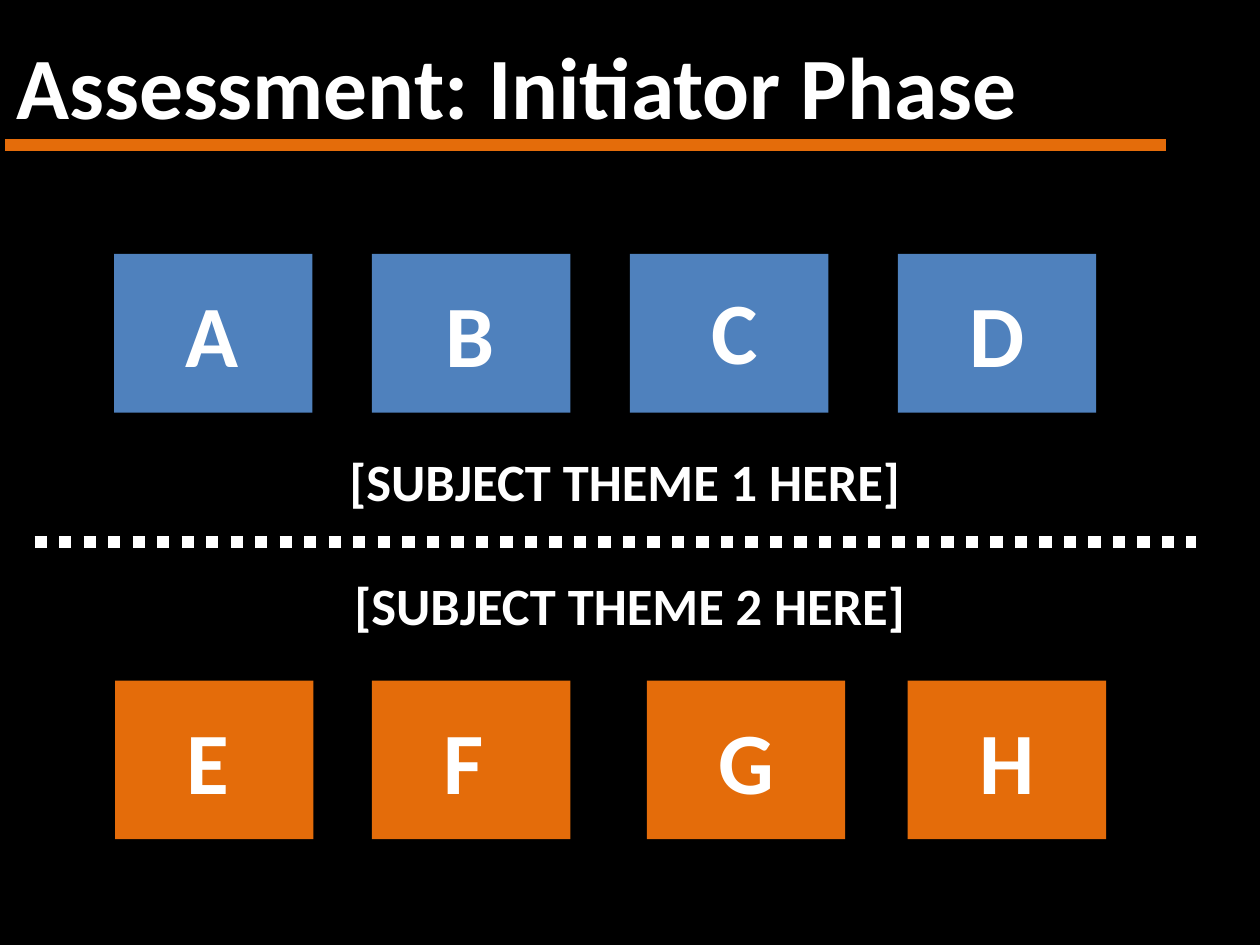
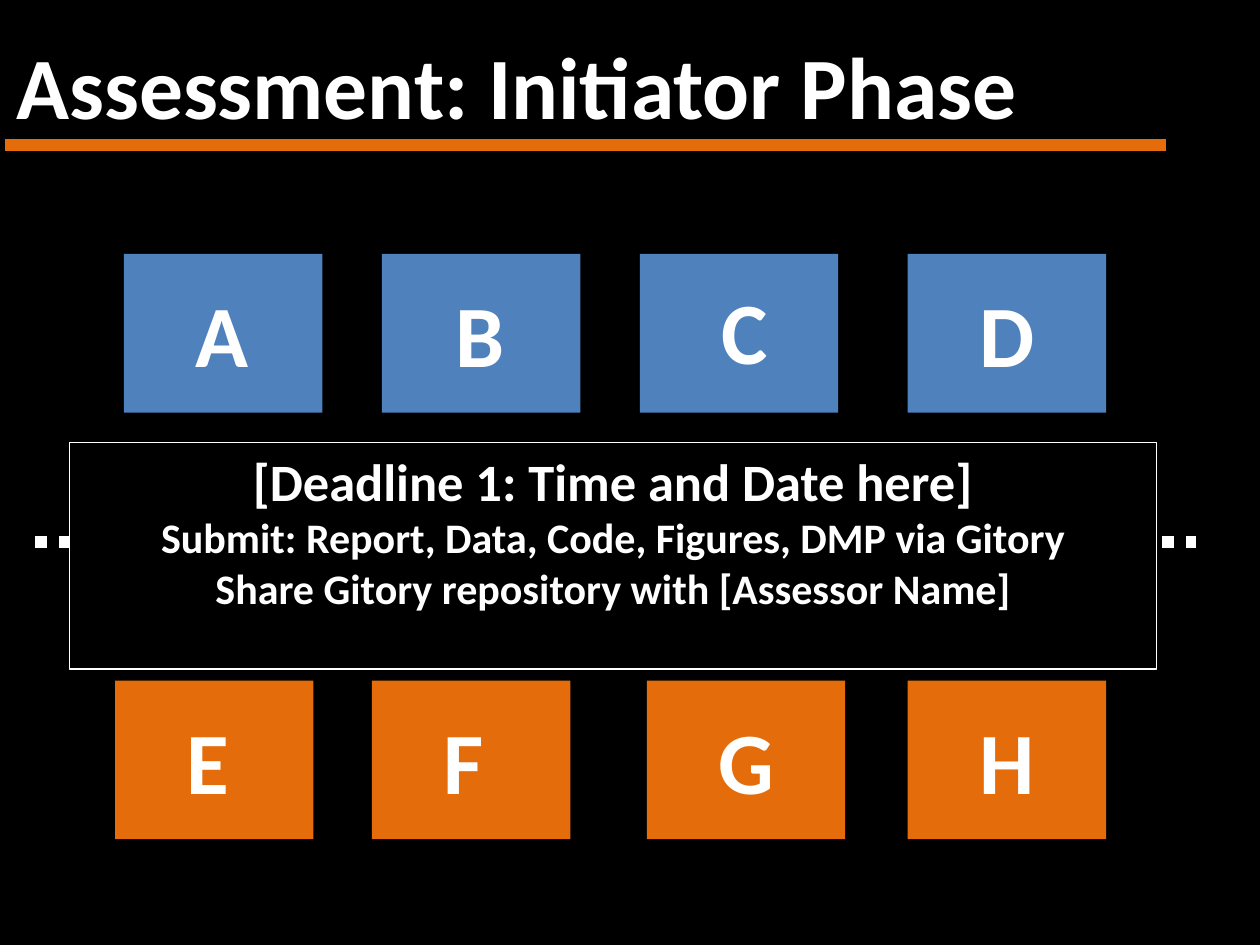
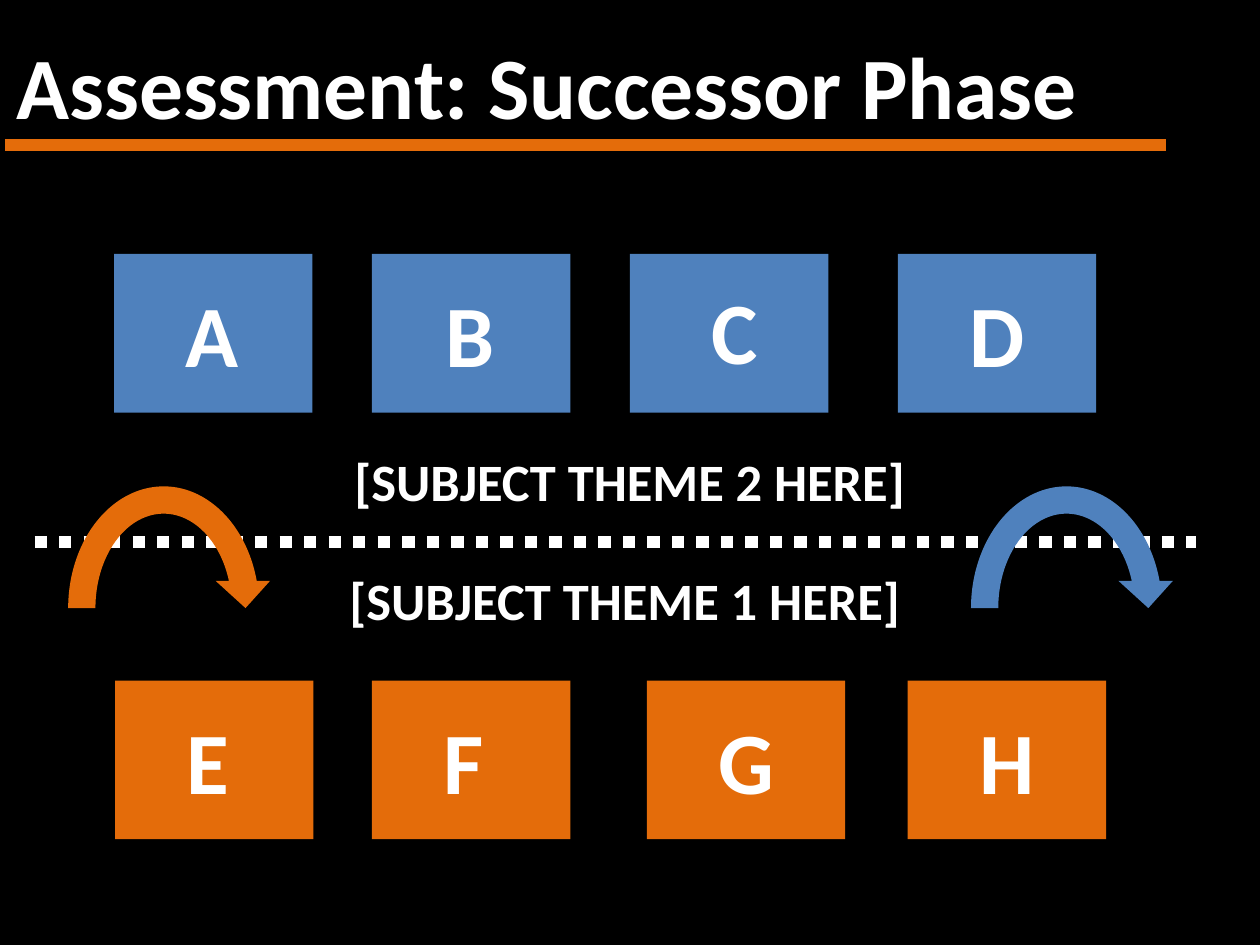
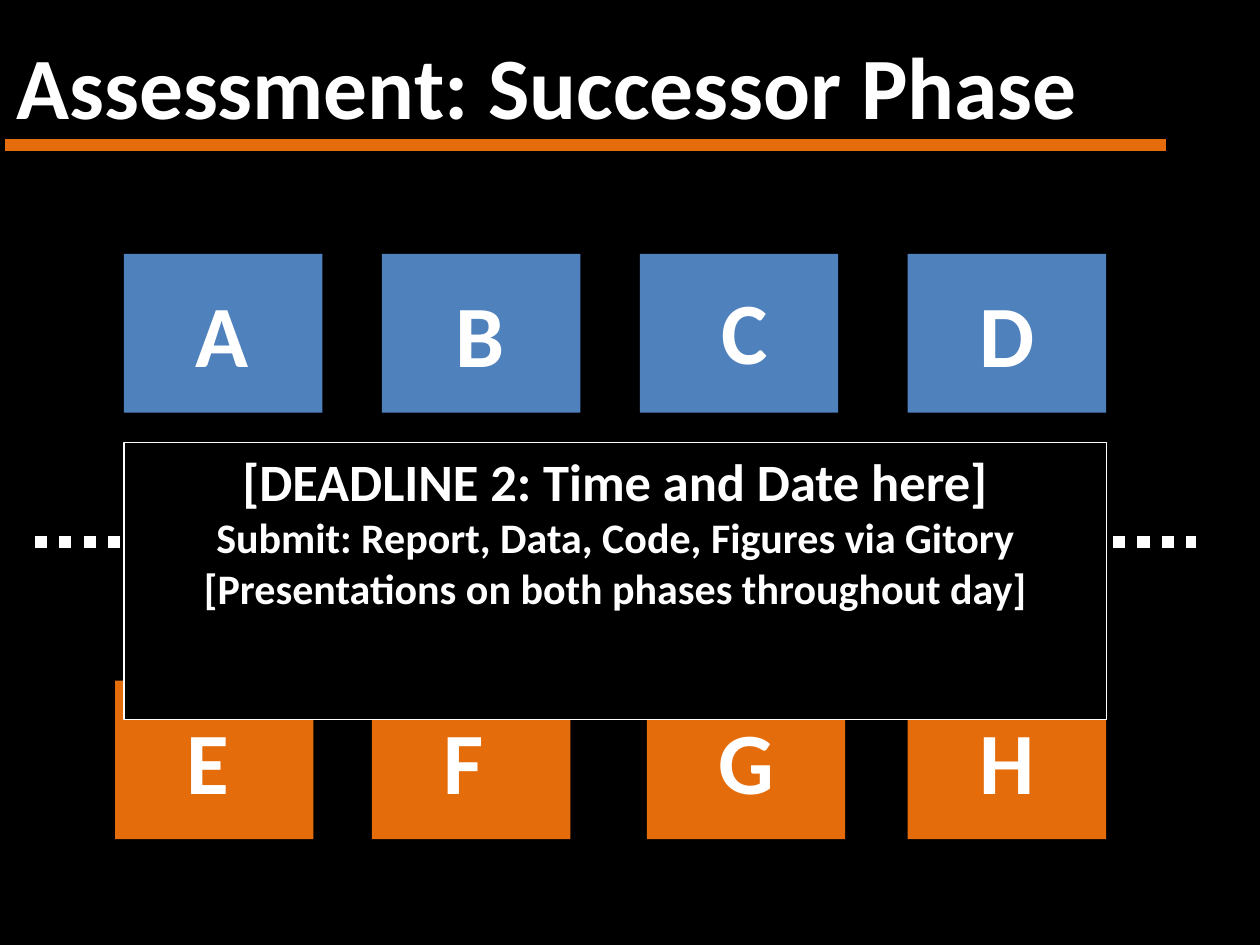
from pptx import Presentation
from pptx.dml.color import RGBColor
from pptx.enum.dml import MSO_LINE
from pptx.enum.shapes import MSO_CONNECTOR, MSO_SHAPE
from pptx.enum.text import MSO_ANCHOR, PP_ALIGN
from pptx.oxml.ns import qn
from pptx.util import Cm, Pt

FONT = "Calibri"
COLORS = {"black": "000000", "white": "FFFFFF", "blue": "4F81BD", "orange": "E46C0A"}

# Letter: (tile left, label offset across, label offset down), in cm
BLUE_ROW = {"A": (2.3, 1.2, 0.4), "B": (7.5, 1.24, 0.4),
            "C": (12.7, 1.4, 0.33), "D": (18.1, 1.2, 0.4)}
ORANGE_ROW = {"E": (2.32, 1.2, 0.4), "F": (7.5, 1.2, 0.4),
              "G": (13.04, 1.2, 0.4), "H": (18.3, 1.2, 0.4)}
BLUE_TOP, ORANGE_TOP = 5.12, 13.72
TILE_W, TILE_H = 4.0, 3.2
DEADLINE_SHIFT = 0.2
MIDDLE_TOP = 8.92

# Themes: (text, left, top, width); arrows: (colour, left)
PHASES = [
    {
        "title": "Assessment: Initiator Phase",
        "themes": [("[SUBJECT THEME 1 HERE]", 4.3, MIDDLE_TOP, 16.6),
                   ("[SUBJECT THEME 2 HERE]", 5.1, 11.43, 15.2)],
        "arrows": [],
        "deadline": ["[Deadline 1: Time and Date here]",
                     "Submit: Report, Data, Code, Figures, DMP via Gitory",
                     "Share Gitory repository with [Assessor Name]"],
        "deadline_box": (1.4, MIDDLE_TOP, 21.92, 4.57),
    },
    {
        "title": "Assessment: Successor Phase",
        "themes": [("[SUBJECT THEME 1 HERE]", 5.9, 11.33, 13.4),
                   ("[SUBJECT THEME 2 HERE]", 5.1, MIDDLE_TOP, 15.2)],
        "arrows": [("orange", 1.1), ("blue", 19.3)],
        "deadline": ["[DEADLINE 2: Time and Date here]",
                     "Submit: Report, Data, Code, Figures via Gitory",
                     "[Presentations on both phases throughout day]"],
        "deadline_box": (2.5, MIDDLE_TOP, 19.81, 5.59),
    },
]


def rgb(color):
    return RGBColor.from_string(COLORS[color])


def write(shape, lines, sizes, align=PP_ALIGN.LEFT):
    frame = shape.text_frame
    frame.word_wrap = True
    frame.vertical_anchor = MSO_ANCHOR.TOP
    frame.text = "\n".join(lines)
    for paragraph, size in zip(frame.paragraphs, sizes):
        paragraph.alignment = align
        for run in paragraph.runs:
            run.font.name, run.font.size, run.font.bold = FONT, Pt(size), True
            run.font.color.rgb = rgb("white")


def add_text(shapes, text, box, size, align=PP_ALIGN.LEFT):
    write(shapes.add_textbox(*map(Cm, box)), [text], [size], align)


def add_filled(shapes, preset, box, color):
    shape = shapes.add_shape(preset, *map(Cm, box))
    shape.shadow.inherit = False
    shape.fill.solid()
    shape.fill.fore_color.rgb = rgb(color)
    shape.line.fill.background()
    return shape


def add_rule(slide, left, right, y, color, dash=None):
    rule = slide.shapes.add_connector(MSO_CONNECTOR.STRAIGHT, Cm(left), Cm(y), Cm(right), Cm(y))
    rule.line.color.rgb = rgb(color)
    rule.line.width = Pt(7)
    rule.line.dash_style = dash
    properties = rule._element.spPr
    properties.append(properties.makeelement(qn("a:effectLst"), {}))


def add_tiles(slide, row, top, color, shift=0):
    tiles = slide.shapes.add_group_shape().shapes
    for letter, (left, across, down) in row.items():
        left += shift
        add_filled(tiles, MSO_SHAPE.RECTANGLE, (left, top, TILE_W, TILE_H), color)
        add_text(tiles, letter, (left + across, top + down, 1.6, 2.4), 50)


def add_phase_slide(prs, title, blue_shift=0):
    """Add a slide with the title, the dotted divider and both rows of tiles."""
    slide = prs.slides.add_slide(prs.slide_layouts[6])
    slide.background.fill.solid()
    slide.background.fill.fore_color.rgb = rgb("black")
    add_rule(slide, 0.1, 23.5, 2.92, "orange")
    add_text(slide.shapes, title, (0.08, 0.53, 24.6, 4.5), 50)
    add_tiles(slide, BLUE_ROW, BLUE_TOP, "blue", blue_shift)
    add_tiles(slide, ORANGE_ROW, ORANGE_TOP, "orange")
    add_rule(slide, 0.7, 24.1, 10.92, "white", MSO_LINE.ROUND_DOT)
    return slide


def add_theme_slide(prs, phase):
    slide = add_phase_slide(prs, phase["title"])
    for text, left, top, width in phase["themes"]:
        add_text(slide.shapes, text, (left, top, width, 1.54), 30, PP_ALIGN.CENTER)
    for color, left in phase["arrows"]:
        add_filled(slide.shapes, MSO_SHAPE.CIRCULAR_ARROW, (left, 9.53, 4.4, 5.46), color)


def add_deadline_slide(prs, phase):
    slide = add_phase_slide(prs, phase["title"], DEADLINE_SHIFT)
    panel = add_filled(slide.shapes, MSO_SHAPE.RECTANGLE, phase["deadline_box"], "black")
    panel.line.color.rgb = rgb("white")
    panel.line.width = Pt(0.75)
    write(panel, phase["deadline"], [30, 24, 24], PP_ALIGN.CENTER)


def main():
    prs = Presentation()
    prs.slide_width, prs.slide_height = Cm(25.4), Cm(19.05)
    for phase in PHASES:
        add_theme_slide(prs, phase)
        add_deadline_slide(prs, phase)
    prs.save("out.pptx")


if __name__ == "__main__":
    main()
